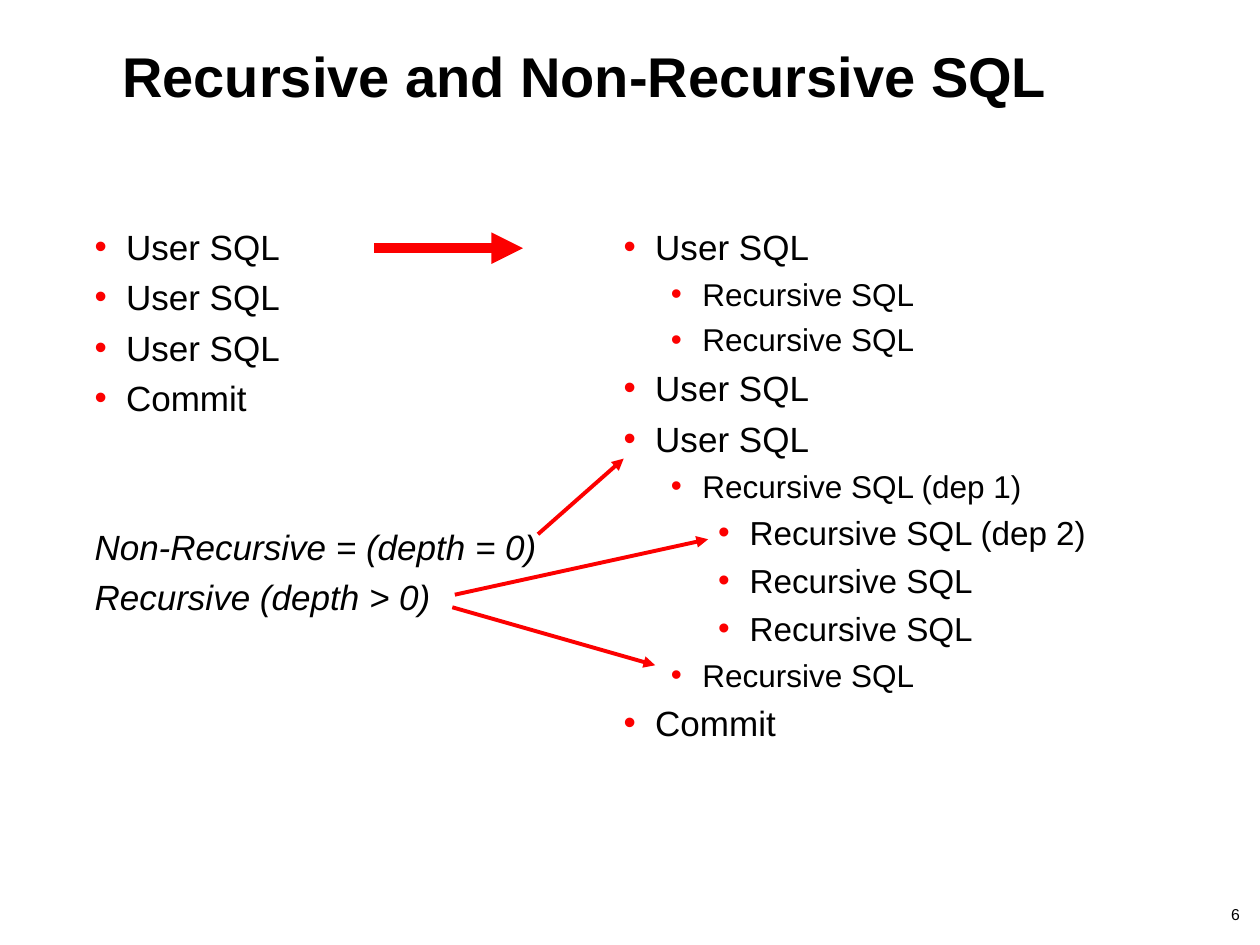
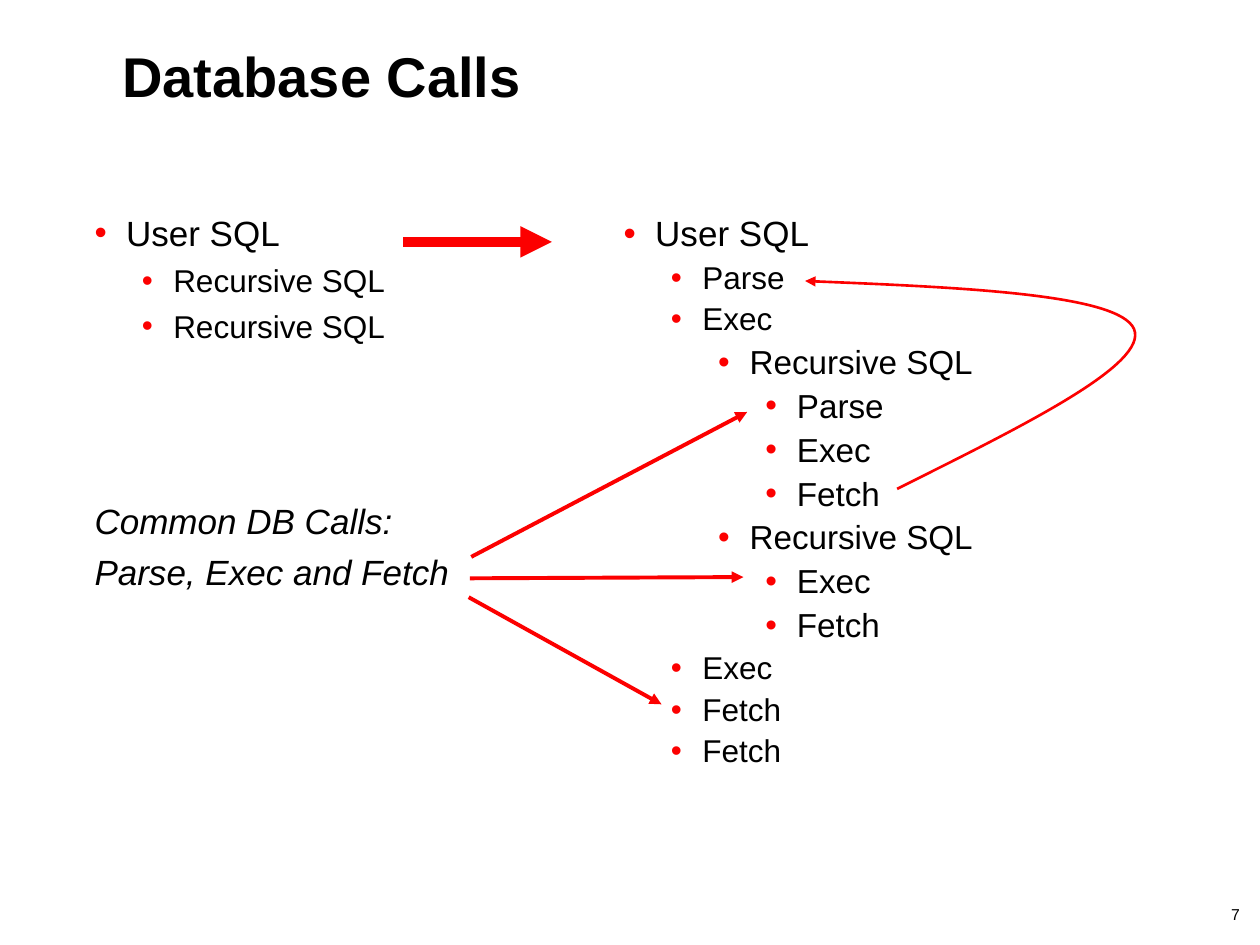
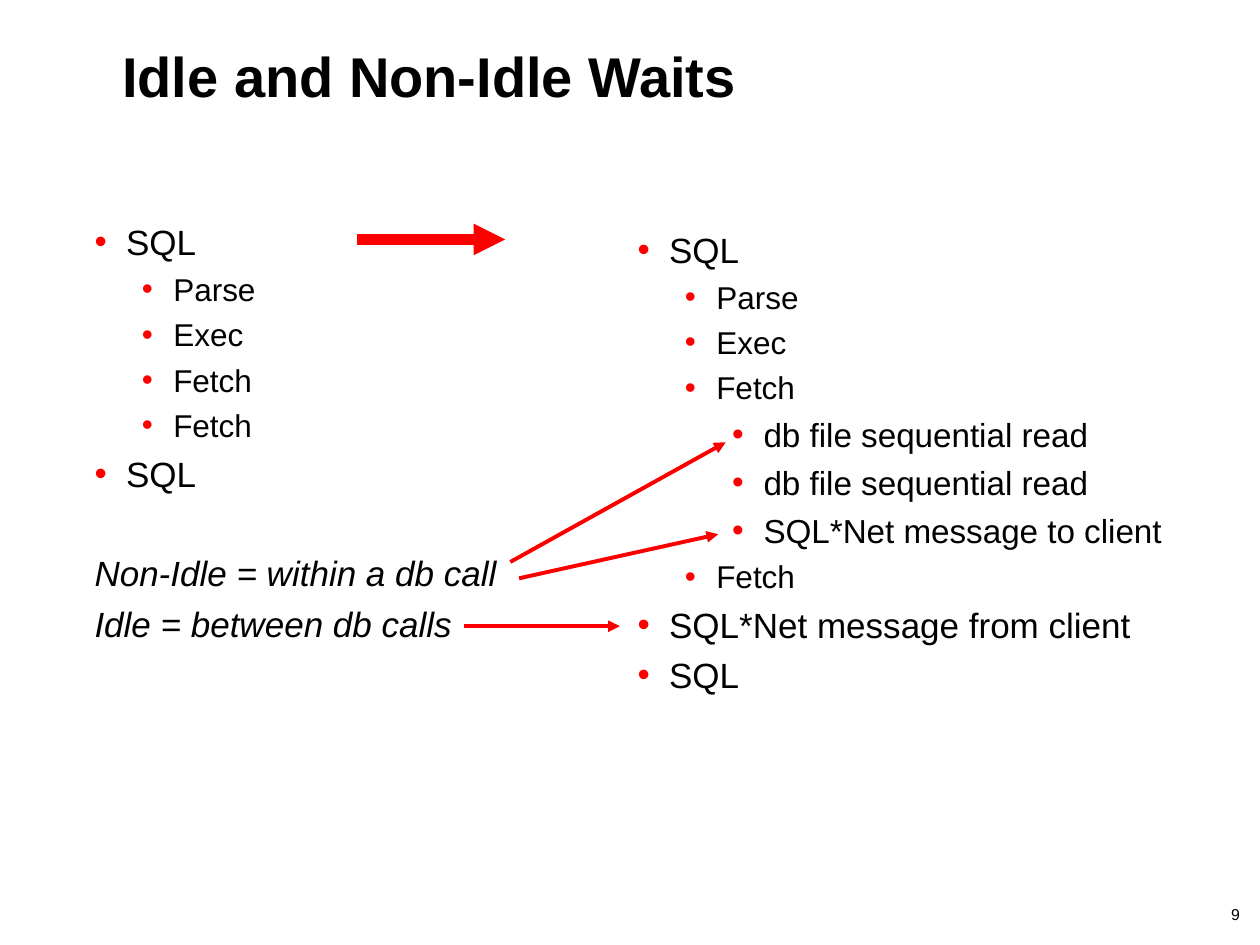
"""Three slides on recursive SQL, database calls and waits."""
from pptx import Presentation
from pptx.dml.color import RGBColor
from pptx.enum.shapes import MSO_CONNECTOR as CONN
from pptx.enum.text import MSO_ANCHOR as ANCHOR, MSO_AUTO_SIZE as AUTO, PP_ALIGN as ALIGN
from pptx.oxml.ns import qn
from pptx.util import Inches, Pt
from lxml.etree import SubElement

BLACK = RGBColor(0x00, 0x00, 0x00)
RED = RGBColor(0xFC, 0x00, 0x00)
FONT = "Arial"
SIZES = (20, 18, 19, 19)
COLS, ROWS = 10, 7.5
LEFT_COL, RIGHT_COL = 0.75, 4.95
LIST_W, LIST_H = 4.04, 4.75
HANG = 0.25
LEVEL_STEP = 0.375
GAP = 0.24
BLANK_ROW = 28


class Deck:
    """Style and current slide, with one method per kind of element."""

    def __init__(self):
        self.prs = Presentation()
        self.prs.slide_width, self.prs.slide_height = Inches(COLS), Inches(ROWS)
        self.slide = None

    def x(self, cols):
        """Length of a number of grid columns."""
        return round(self.prs.slide_width * cols / COLS)

    def y(self, rows):
        """Length of a number of grid rows."""
        return round(self.prs.slide_height * rows / ROWS)

    def place(self, sp, left, top, width, height, anchor=ANCHOR.TOP):
        """Move a text shape and clear its insets."""
        sp.left, sp.top = self.x(left), self.y(top)
        sp.width, sp.height = self.x(width), self.y(height)
        tf = sp.text_frame
        frame = dict(margin_left=0, margin_top=0, margin_right=0, margin_bottom=0,
                     word_wrap=True, auto_size=AUTO.NONE, vertical_anchor=anchor)
        for name, value in frame.items():
            setattr(tf, name, value)
        return tf

    def add_text(self, p, text, size, **extra):
        """Add one formatted run to a paragraph."""
        r = p.add_run()
        r.text = text
        for name, value in dict(name=FONT, size=Pt(size), **extra).items():
            setattr(r.font, name, value)
        r.font.color.rgb = BLACK

    def new_slide(self, title, number):
        """Start a slide with its title and page number."""
        self.slide = self.prs.slides.add_slide(self.prs.slide_layouts[3])
        p = self.place(self.slide.shapes.title, 0.97, 0.33, 8.29, 1.03).paragraphs[0]
        p.alignment = ALIGN.LEFT
        self.add_text(p, title, 32, bold=True)
        box = self.slide.shapes.add_textbox(0, 0, 0, 0)
        p = self.place(box, 0.17, 7.17, 9.67, 0.17, ANCHOR.MIDDLE).paragraphs[0]
        p.alignment = ALIGN.RIGHT
        self.add_text(p, str(number), 9)

    def indent(self, p, level, bullet):
        """Set the hanging indent and the red bullet."""
        pPr = p._p.get_or_add_pPr()
        pPr.set("marL", str(self.x(HANG + level * LEVEL_STEP)))
        pPr.set("indent", str(-self.x(HANG)))
        if bullet:
            clr = SubElement(pPr, qn("a:buClr"))
            SubElement(clr, qn("a:srgbClr"), val=str(RED))
            SubElement(pPr, qn("a:buFont"), typeface=FONT)
            SubElement(pPr, qn("a:buChar"), char="•")
        else:
            SubElement(pPr, qn("a:buNone"))

    def bullets(self, idx, left, top, items, notes=(), blank_rows=0, spacing=1.0, width=LIST_W):
        """Fill a body placeholder with levelled items and italic notes."""
        tf = self.place(self.slide.placeholders[idx], left, top, width, LIST_H)
        lines = [(level, text, True) for level, text in items]
        lines += [(0, text, False) for text in notes]
        for i, (level, text, bullet) in enumerate(lines):
            p = tf.paragraphs[0] if i == 0 else tf.add_paragraph()
            size = SIZES[level]
            extra = BLANK_ROW * blank_rows if i == len(items) else 0
            form = dict(level=level, alignment=ALIGN.LEFT, line_spacing=spacing,
                        space_before=Pt(size * GAP + extra))
            for name, value in form.items():
                setattr(p, name, value)
            self.indent(p, level, bullet)
            self.add_text(p, text, size, italic=not bullet)

    def stroke(self, sp, width):
        """Give a line its colour, width, arrowhead and no shadow."""
        sp.line.color.rgb, sp.line.width = RED, Pt(width)
        spPr = sp._element.spPr
        SubElement(spPr.find(qn("a:ln")), qn("a:tailEnd"), type="triangle")
        SubElement(spPr, qn("a:effectLst"))

    def arrow(self, x1, y1, x2, y2, width=2.25):
        """Draw a straight arrow."""
        sp = self.slide.shapes.add_connector(
            CONN.STRAIGHT, self.x(x1), self.y(y1), self.x(x2), self.y(y2))
        self.stroke(sp, width)

    def block_arrow(self, left, top):
        """Draw the heavy arrow between the two lists."""
        self.arrow(left, top, left + 1.18, top, 6)

    def curve(self, start, *points):
        """Draw an open arrow of cubic curves, three points to a curve."""
        first, *rest = [(self.x(a), self.y(b)) for a, b in (start, *points)]
        fb = self.slide.shapes.build_freeform(*first)
        sp = fb.add_line_segments(rest, close=False).convert_to_shape()
        outline = next(sp._element.iter(qn("a:path")))
        segments = outline.findall(qn("a:lnTo"))
        for i in range(0, len(segments), 3):
            cubic = SubElement(outline, qn("a:cubicBezTo"))
            for seg in segments[i:i + 3]:
                cubic.append(seg[0])
                outline.remove(seg)
        sp.fill.background()
        self.stroke(sp, 1.5)


def recursive_sql(deck):
    """Build the slide on recursive and non-recursive SQL."""
    deck.new_slide("Recursive and Non-Recursive SQL", 6)
    deck.bullets(1, LEFT_COL, 1.79, [(0, "User SQL")] * 3 + [(0, "Commit")],
                 ["Non-Recursive = (depth = 0)", "Recursive (depth > 0)"], 2)
    deck.bullets(2, RIGHT_COL, 1.79, [
        (0, "User SQL"), *[(1, "Recursive SQL")] * 2, *[(0, "User SQL")] * 2,
        (1, "Recursive SQL (dep 1)"), (2, "Recursive SQL (dep 2)"),
        *[(2, "Recursive SQL")] * 2, (1, "Recursive SQL"), (0, "Commit")])
    deck.block_arrow(2.97, 1.97)
    deck.arrow(4.27, 4.24, 4.95, 3.64)
    deck.arrow(3.59, 4.82, 5.2, 5.28)
    deck.arrow(3.61, 4.72, 5.62, 4.28)


def database_calls(deck):
    """Build the slide on database calls."""
    deck.new_slide("Database Calls", 7)
    deck.bullets(1, LEFT_COL, 1.68, [(0, "User SQL")] + [(1, "Recursive SQL")] * 2,
                 ["Common DB Calls:", "Parse, Exec and Fetch"], 3)
    deck.bullets(2, RIGHT_COL, 1.72, [
        (0, "User SQL"), (1, "Parse"), (1, "Exec"),
        (2, "Recursive SQL"), (3, "Parse"), (3, "Exec"), (3, "Fetch"),
        (2, "Recursive SQL"), (3, "Exec"), (3, "Fetch"),
        (1, "Exec"), (1, "Fetch"), (1, "Fetch")], spacing=0.9)
    deck.block_arrow(3.2, 1.92)
    deck.arrow(3.74, 4.42, 5.93, 3.27)
    deck.arrow(3.73, 4.59, 5.9, 4.58)
    deck.arrow(3.72, 4.74, 5.25, 5.59)
    deck.curve((7.12, 3.88), (8.12, 3.38), (9.12, 2.89), (9, 2.61),
               (8.88, 2.34), (7.64, 2.28), (6.39, 2.23))


def waits(deck):
    """Build the slide on idle and non-idle waits."""
    deck.new_slide("Idle and Non-Idle Waits", 9)
    calls = [(0, "SQL"), (1, "Parse"), (1, "Exec"), (1, "Fetch")]
    deck.bullets(1, LEFT_COL, 1.75, calls + [(1, "Fetch"), (0, "SQL")],
                 ["Non-Idle = within a db call", "Idle = between db calls"], 1)
    deck.bullets(2, 5.06, 1.81, calls + [
        *[(2, "db file sequential read")] * 2, (2, "SQL*Net message to client"),
        (1, "Fetch"), (0, "SQL*Net message from client"), (0, "SQL")], width=4.82)
    deck.block_arrow(2.83, 1.9)
    deck.arrow(4.05, 4.46, 5.76, 3.51)
    deck.arrow(3.68, 4.97, 4.92, 4.97)
    deck.arrow(4.12, 4.59, 5.7, 4.24)


deck = Deck()
for build in (recursive_sql, database_calls, waits):
    build(deck)
deck.prs.save("out.pptx")
